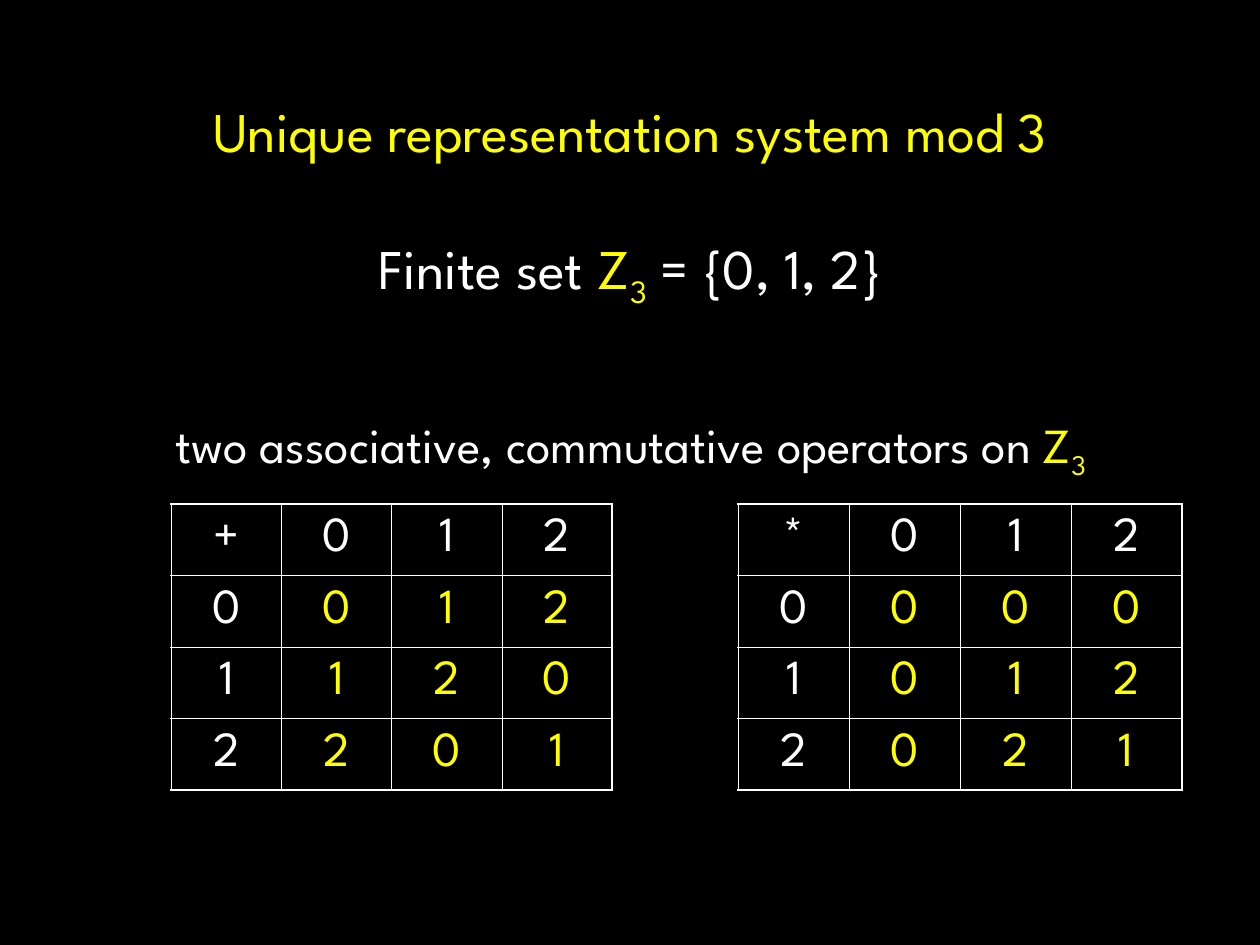
from pptx import Presentation
from pptx.dml.color import RGBColor as RGB
from pptx.enum.text import MSO_ANCHOR as Anchor, PP_ALIGN as Align
from pptx.oxml.ns import qn
from pptx.util import Pt
from lxml.etree import SubElement as Sub

HUES = {"back": "000000", "text": "FFFFFF", "mark": "FFFF00"}
FONT = "League Spartan"
THIN, THICK = 0.45, 1.08


class Deck:
    def __init__(self, wide, high):
        self.prs = Presentation()
        self.prs.slide_width, self.prs.slide_height = Pt(wide), Pt(high)
        self.slide = self.prs.slides.add_slide(self.prs.slide_layouts[6])
        self.paint(self.slide.background.fill, "back")

    def paint(self, fill, hue):
        fill.solid()
        fill.fore_color.rgb = RGB.from_string(HUES[hue])

    def run(self, para, text, size, hue, sub=False):
        run = para.add_run()
        run.text = text
        run.font.name, run.font.size = FONT, Pt(size)
        run.font.color.rgb = RGB.from_string(HUES[hue])
        if sub:
            run.font._element.set("baseline", "-25000")

    def text(self, left, top, wide, high, paras):
        frame = self.slide.shapes.add_textbox(
            Pt(left), Pt(top), Pt(wide), Pt(high)).text_frame
        frame.word_wrap = True
        for i, (size, gap, line, runs) in enumerate(paras):
            para = frame.add_paragraph() if i else frame.paragraphs[0]
            para.alignment = Align.CENTER
            para.line_spacing = line
            if gap:
                para.space_before = Pt(gap)
            for part in runs:
                self.run(para, part[0], size, *part[1:])

    def edge(self, cell, side, width):
        line = Sub(cell._tc.get_or_add_tcPr(), qn(f"a:ln{side}"), w=str(Pt(width)))
        fill = Sub(line, qn("a:solidFill"))
        Sub(fill, qn("a:srgbClr"), val=HUES["text"])

    def table(self, left, top, col, row, data):
        count = len(data)
        grid = self.slide.shapes.add_table(
            count, count, Pt(left), Pt(top), Pt(col * count), Pt(row * count)).table
        grid.first_row = grid.horz_banding = False
        for i, line in enumerate(data):
            grid.rows[i].height, grid.columns[i].width = Pt(row), Pt(col)
            for j, text in enumerate(line):
                cell = grid.cell(i, j)
                cell.vertical_anchor = Anchor.MIDDLE
                cell.margin_left = cell.margin_right = Pt(21.6)
                cell.margin_top = cell.margin_bottom = Pt(3.6)
                ends = {"L": j == 0, "R": j == count - 1,
                        "T": i == 0, "B": i == count - 1}
                for side, outer in ends.items():
                    self.edge(cell, side, THICK if outer else THIN)
                self.paint(cell.fill, "back")
                para = cell.text_frame.paragraphs[0]
                para.alignment = Align.CENTER
                self.run(para, text, 28, "mark" if i and j else "text")


def main():
    deck = Deck(720, 540)
    ring = [("Z", "mark"), ("3", "mark", True)]
    deck.text(20.9, 51.8, 679, 218.2, [
        (32, 0, 1, [("Unique representation system mod 3", "mark")]),
        (32, 40.5, 0.9, [("Finite set ", "text"), *ring, (" = {0, 1, 2}", "text")]),
        (28, 63.5, 0.9,
         [("two associative, commutative operators on ", "text"), *ring]),
    ])
    nums = range(3)
    tables = [("+", lambda a, b: a + b, 97.9, 63),
              ("*", lambda a, b: a * b, 421.9, 63.36)]
    for sign, calc, left, col in tables:
        data = [[sign, *map(str, nums)]]
        data += [[str(a), *(str(calc(a, b) % 3) for b in nums)] for a in nums]
        deck.table(left, 288, col, 40.9, data)
    deck.prs.save("out.pptx")


if __name__ == "__main__":
    main()
